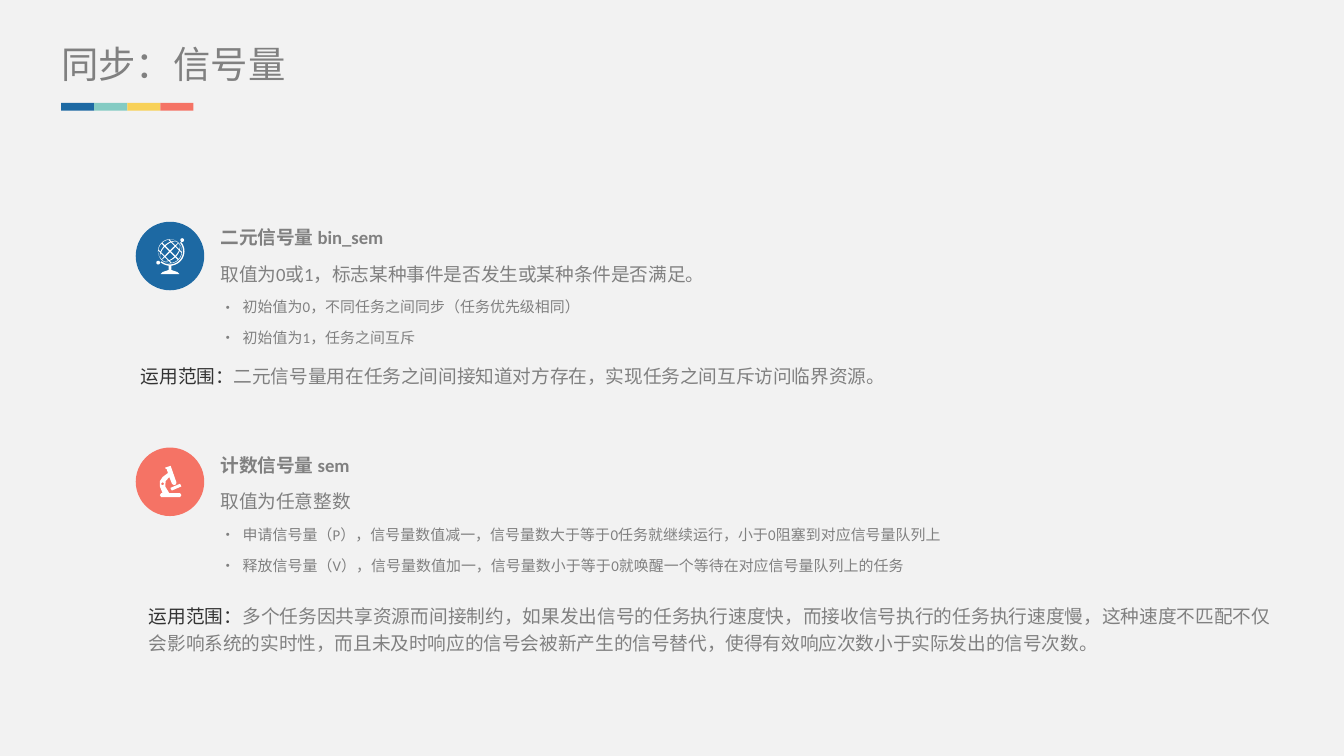
import math
from dataclasses import dataclass

import pptx
import pptx.dml.color
import pptx.enum.shapes
import pptx.enum.text
import pptx.oxml.ns
import pptx.shapes.autoshape
import pptx.util
from lxml import etree

RGB = pptx.dml.color.RGBColor
BLUE, TEAL = RGB(0x1D, 0x69, 0xA3), RGB(0x84, 0xCB, 0xC3)
YELLOW, CORAL = RGB(0xF8, 0xD1, 0x58), RGB(0xF5, 0x73, 0x65)
PAPER, WHITE = RGB(0xF2, 0xF2, 0xF2), RGB(0xFF, 0xFF, 0xFF)
GRAY, DARK = RGB(0x80, 0x80, 0x80), RGB(0x33, 0x33, 0x33)
LATIN, CJK = "Calibri", "Noto Sans CJK SC"
SHAPE = pptx.enum.shapes.MSO_SHAPE
Point = tuple[float, float]

COLS, ROWS = 100, 56.25  # grid of square cells, 16:9
CELL = pptx.util.Inches(0.1)


def grid(n: float) -> pptx.util.Emu:
    """Length of n grid cells."""
    return pptx.util.Emu(round(n * CELL))


@dataclass
class Topic:
    top: float
    color: RGB
    heading: str
    summary: str
    points: list[str]
    text_top: float
    text_width: float
    scope: str
    scope_left: float
    scope_top: float
    scope_height: float


TOPICS = [
    Topic(16.5, BLUE, "二元信号量 bin_sem",
          "取值为0或1，标志某种事件是否发生或某种条件是否满足。",
          ["初始值为0，不同任务之间同步（任务优先级相同）", "初始值为1，任务之间互斥"],
          16.5, 74.5,
          "二元信号量用在任务之间间接知道对方存在，实现任务之间互斥访问临界资源。",
          9.5, 26.35, 3),
    Topic(33.3, CORAL, "计数信号量 sem", "取值为任意整数",
          ["申请信号量（P），信号量数值减一，信号量数大于等于0任务就继续运行，小于0阻塞到对应信号量队列上",
           "释放信号量（V），信号量数值加一，信号量数小于等于0就唤醒一个等待在对应信号量队列上的任务"],
          33.45, 65.9,
          "多个任务因共享资源而间接制约，如果发出信号的任务执行速度快，而接收信号执行的任务执行速度慢，"
          "这种速度不匹配不仅会影响系统的实时性，而且未及时响应的信号会被新产生的信号替代，"
          "使得有效响应次数小于实际发出的信号次数。",
          10.1, 44.2, 5),
]


def paint(sp: pptx.shapes.autoshape.Shape, color: RGB) -> None:
    sp.shadow.inherit = False
    sp.fill.solid()
    sp.fill.fore_color.rgb = color
    sp.line.fill.background()


def add_block(s, kind, left: float, top: float, width: float, height: float, color: RGB) -> None:
    paint(s.shapes.add_shape(kind, grid(left), grid(top), grid(width), grid(height)), color)


def add_box(s, left: float, top: float, width: float, height: float, inset: bool = False):
    tf = s.shapes.add_textbox(grid(left), grid(top), grid(width), grid(height)).text_frame
    tf.word_wrap = True
    if not inset:
        tf.margin_left = tf.margin_right = tf.margin_top = tf.margin_bottom = 0
    return tf


def add_run(p, text: str, *, size: float = 10, color: RGB = GRAY,
            bold: bool = False, font: str = LATIN) -> None:
    r = p.add_run()
    r.text = text
    r.font.size, r.font.bold, r.font.name = pptx.util.Pt(size), bold, font
    r.font.color.rgb = color
    etree.SubElement(r.font._element, pptx.oxml.ns.qn("a:ea"), typeface=CJK)


def body_paragraph(tf, first: bool = False, bullet: bool = False):
    p = tf.paragraphs[0] if first else tf.add_paragraph()
    p.alignment = pptx.enum.text.PP_ALIGN.JUSTIFY
    p.line_spacing, p.space_before = 1.2, pptx.util.Pt(5)
    if bullet:
        pr = p._p.get_or_add_pPr()
        pr.set("marL", str(grid(1.65)))
        pr.set("indent", str(-grid(1.65)))
        etree.SubElement(pr, pptx.oxml.ns.qn("a:buFont"), typeface=CJK)
        etree.SubElement(pr, pptx.oxml.ns.qn("a:buChar"), char="•")
    return p


def add_outline(s, contours: list[list[Point]], color: RGB = WHITE) -> None:
    """One filled shape; a contour inside another one is a hole."""
    outlines = [[(grid(x), grid(y)) for x, y in c] for c in contours]
    fb = s.shapes.build_freeform(*outlines[0][0])
    for i, pts in enumerate(outlines):
        if i:
            fb.move_to(*pts[0])
        fb.add_line_segments(pts[1:], close=True)
    paint(fb.convert_to_shape(), color)


def arc(cx: float, cy: float, radius: float, start: int, end: int, step: int = 10) -> list[Point]:
    return [(cx + radius * math.cos(math.radians(a)), cy + radius * math.sin(math.radians(a)))
            for a in range(start, end + 1, step)]


def globe_cell(cx: float, cy: float, radius: float, lon: int, lat: int) -> list[Point]:
    """Gap between two meridians and two parallels on a tilted globe."""
    half, tilt = 16, math.radians(45)
    sides = range(-half, half, 8)
    edge = ([(d, -half) for d in sides] + [(half, d) for d in sides]
            + [(-d, half) for d in sides] + [(-half, -d) for d in sides])
    pts = []
    for a, b in edge:
        u, v = math.radians(lon + a), math.radians(lat + b)
        x, y = radius * math.sin(u) * math.cos(v), radius * math.sin(v)
        pts.append((cx + x * math.cos(tilt) - y * math.sin(tilt),
                    cy + x * math.sin(tilt) + y * math.cos(tilt)))
    return pts


def add_globe(s) -> None:
    cx, cy = 12.65, 18.7
    steps = (-57, -19, 19, 57)
    add_outline(s, [arc(cx, cy, 0.9, 0, 350)]
                + [globe_cell(cx, cy, 0.9, lon, lat) for lon in steps for lat in steps])
    # Arm, end knobs and stand
    add_outline(s, [
        arc(cx, cy, 1.08, -40, 130) + arc(cx, cy, 0.98, -40, 130)[::-1],
        arc(11.77, 19.55, 0.14, 0, 330, 30), arc(13.56, 17.87, 0.14, 0, 330, 30),
        [(12.55, 19.78), (12.75, 19.78), (12.75, 20.1), (13.2, 20.25), (13.35, 20.4),
         (11.95, 20.4), (12.1, 20.25), (12.55, 20.1)]])


def add_microscope(s) -> None:
    add_outline(s, [
        # Body and foot
        [(12, 36.7), (12.1, 36.7), (11.9, 36.2), (11.9, 35.8), (12.1, 35.5), (12.5, 35.2),
         (12.4, 34.9), (12.3, 34.85), (12.3, 34.8), (12.7, 34.66), (12.75, 34.8),
         (13.13, 35.9), (13.1, 36.05), (12.93, 36.1), (12.8, 36), (12.6, 35.5),
         (12.33, 35.8), (12.3, 36.2), (12.6, 36.7), (13.4, 36.7), (13.5, 36.85),
         (13.4, 37), (12, 37), (11.9, 36.85)],
        arc(12.1, 36, 0.1, 0, 330, 30),  # pivot hole
        [(12.7, 36.3), (13.4, 36), (13.5, 36.2), (12.8, 36.5), (12.7, 36.4)],  # stage
    ])


def add_topic(s, topic: Topic) -> None:
    add_block(s, SHAPE.OVAL, 10.1, topic.top, 5.1, 5.1, topic.color)
    tf = add_box(s, 16.4, topic.text_top, topic.text_width, 9.4)
    add_run(body_paragraph(tf, first=True), topic.heading, bold=True)
    add_run(body_paragraph(tf), topic.summary)
    for point in topic.points:
        add_run(body_paragraph(tf, bullet=True), point, size=8)
    tf = add_box(s, topic.scope_left, topic.scope_top, 85.4, topic.scope_height, inset=True)
    p = body_paragraph(tf, first=True)
    add_run(p, "运用范围：", color=DARK)
    add_run(p, topic.scope)


def main() -> None:
    prs = pptx.Presentation()
    prs.slide_width, prs.slide_height = grid(COLS), grid(ROWS)
    s = prs.slides.add_slide(prs.slide_layouts[6])
    s.background.fill.solid()
    s.background.fill.fore_color.rgb = PAPER

    # Title with a four-colour bar
    tf = add_box(s, 4.55, 3.05, 30.4, 3.4)
    add_run(tf.paragraphs[0], "同步：信号量", size=20, font=CJK)
    for i, color in enumerate((BLUE, TEAL, YELLOW, CORAL)):
        add_block(s, SHAPE.RECTANGLE, 4.55 + i * 2.46, 7.65, 2.46, 0.6, color)

    # Topics with their icons
    for topic, add_icon in zip(TOPICS, (add_globe, add_microscope)):
        add_topic(s, topic)
        add_icon(s)
    prs.save("out.pptx")


if __name__ == "__main__":
    main()
